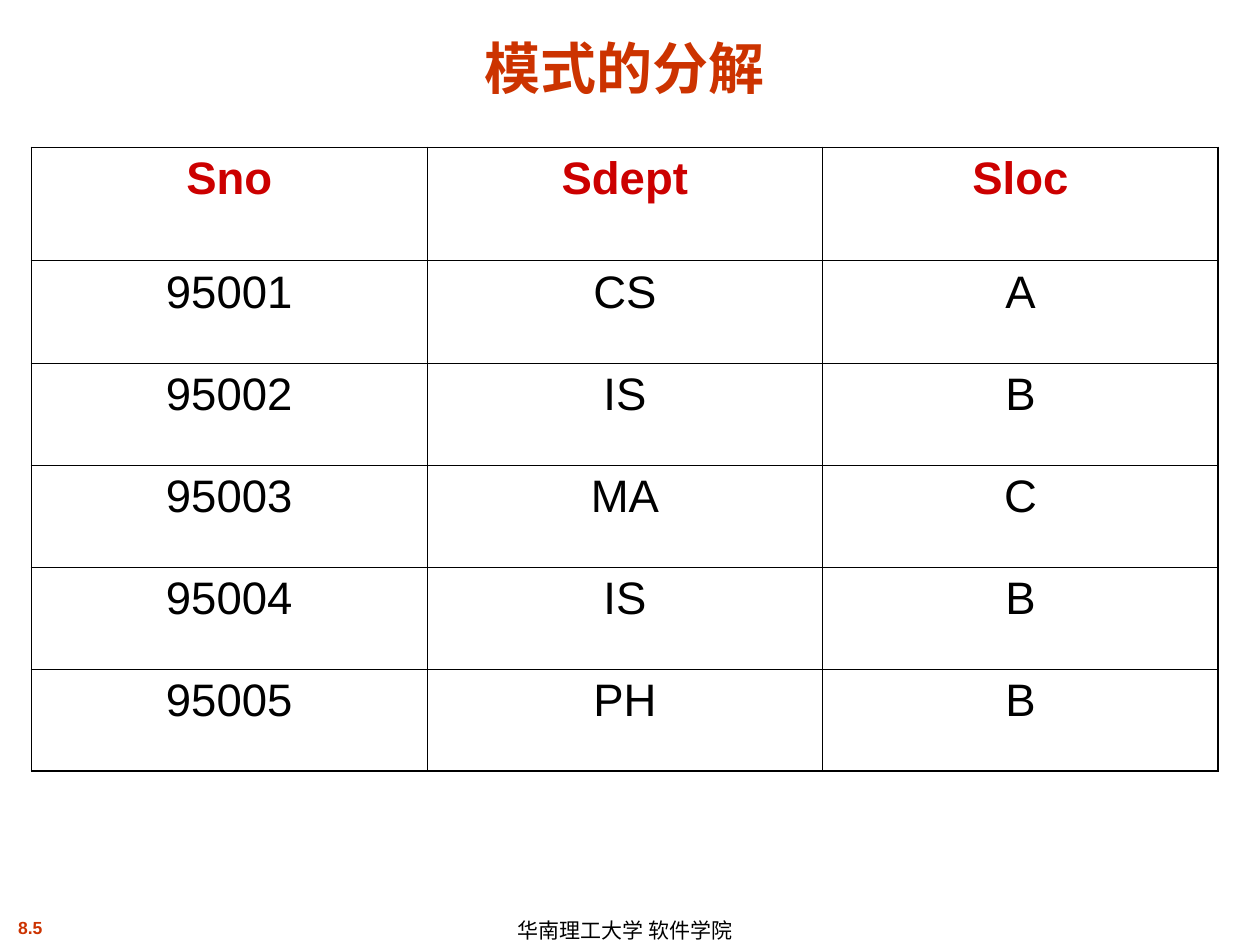
from lxml import etree
from pptx import Presentation
from pptx.dml.color import RGBColor
from pptx.enum.text import MSO_ANCHOR, MSO_AUTO_SIZE, PP_ALIGN
from pptx.oxml.ns import qn
from pptx.util import Inches, Pt

CENTER, LEFT = PP_ALIGN.CENTER, PP_ALIGN.LEFT
TOP, MIDDLE, BOTTOM = MSO_ANCHOR.TOP, MSO_ANCHOR.MIDDLE, MSO_ANCHOR.BOTTOM
FIXED, GROW = MSO_AUTO_SIZE.NONE, MSO_AUTO_SIZE.SHAPE_TO_FIT_TEXT

TITLE = "模式的分解"
PAGE = "8.5"
FOOTER = "华南理工大学 软件学院"
ROWS = [
    ("Sno", "Sdept", "Sloc"),
    ("95001", "CS", "A"),
    ("95002", "IS", "B"),
    ("95003", "MA", "C"),
    ("95004", "IS", "B"),
    ("95005", "PH", "B"),
]

ORANGE, RED, BLACK = "CC3300", "CC0000", "000000"
OUTER, INNER = 1.08, 0.45
MARGIN, WIDTH = 0.25, 9.42
TABLE_TOP, HEAD_HEIGHT, ROW_HEIGHT = 1.17, 0.9, 0.81


def rgb(color):
    return RGBColor.from_string(color)


def write(tf, text, size, color=BLACK, bold=False, align=CENTER, spacing=None):
    p = tf.paragraphs[0]
    p.alignment = align
    p.space_before = Pt(0)
    if spacing:
        p.line_spacing = spacing
    r = p.add_run()
    r.text = text
    r.font.name = "Arial"
    r.font.size = Pt(size)
    r.font.bold = bold
    r.font.color.rgb = rgb(color)


def add_label(s, box, text, size, anchor=TOP, fit=FIXED, **fmt):
    tf = s.shapes.add_textbox(*map(Inches, box)).text_frame
    tf.word_wrap = False
    tf.auto_size = fit
    tf.vertical_anchor = anchor
    write(tf, text, size, **fmt)


def add_borders(cell, widths):
    tc_pr = cell._tc.get_or_add_tcPr()
    for i, (side, width) in enumerate(widths.items()):
        ln = etree.Element(qn(f"a:{side}"), w=str(Pt(width)))
        fill = etree.SubElement(ln, qn("a:solidFill"))
        etree.SubElement(fill, qn("a:srgbClr"), val=BLACK)
        tc_pr.insert(i, ln)


def add_title(s):
    title = s.shapes.title
    title.left, title.top = Inches(MARGIN), Inches(0.13)
    title.width, title.height = Inches(WIDTH), Inches(0.67)
    tf = title.text_frame
    tf.margin_left = tf.margin_right = tf.margin_top = tf.margin_bottom = 0
    tf.word_wrap = True
    tf.auto_size = FIXED
    tf.vertical_anchor = BOTTOM
    write(tf, TITLE, 32, color=ORANGE, bold=True)


def add_grid(s):
    n_rows, n_cols = len(ROWS), len(ROWS[0])
    height = HEAD_HEIGHT + ROW_HEIGHT * (n_rows - 1)
    box = (MARGIN, TABLE_TOP, WIDTH, height)
    table = s.shapes.add_table(n_rows, n_cols, *map(Inches, box)).table
    table.first_row = table.horz_banding = False
    for i, row in enumerate(ROWS):
        head = i == 0
        table.rows[i].height = Inches(HEAD_HEIGHT if head else ROW_HEIGHT)
        for j, text in enumerate(row):
            cell = table.cell(i, j)
            cell.fill.background()
            write(cell.text_frame, text, 26, color=RED if head else BLACK, bold=head)
            add_borders(cell, {
                "lnL": OUTER if j == 0 else INNER,
                "lnR": OUTER if j == n_cols - 1 else INNER,
                "lnT": OUTER if head else INNER,
                "lnB": OUTER if i == n_rows - 1 else INNER,
            })


def main():
    prs = Presentation()
    prs.slide_width, prs.slide_height = Inches(10), Inches(7.5)
    s = prs.slides.add_slide(prs.slide_layouts[5])
    add_label(s, (-0.25, 7.23, 0.98, 0.27), PAGE, 10, fit=GROW, color=ORANGE, bold=True)
    add_label(s, (4.01, 7.25, 2.24, 0.25), FOOTER, 12, anchor=MIDDLE, align=LEFT, spacing=1.1)
    add_title(s)
    add_grid(s)
    prs.save("out.pptx")


if __name__ == "__main__":
    main()
